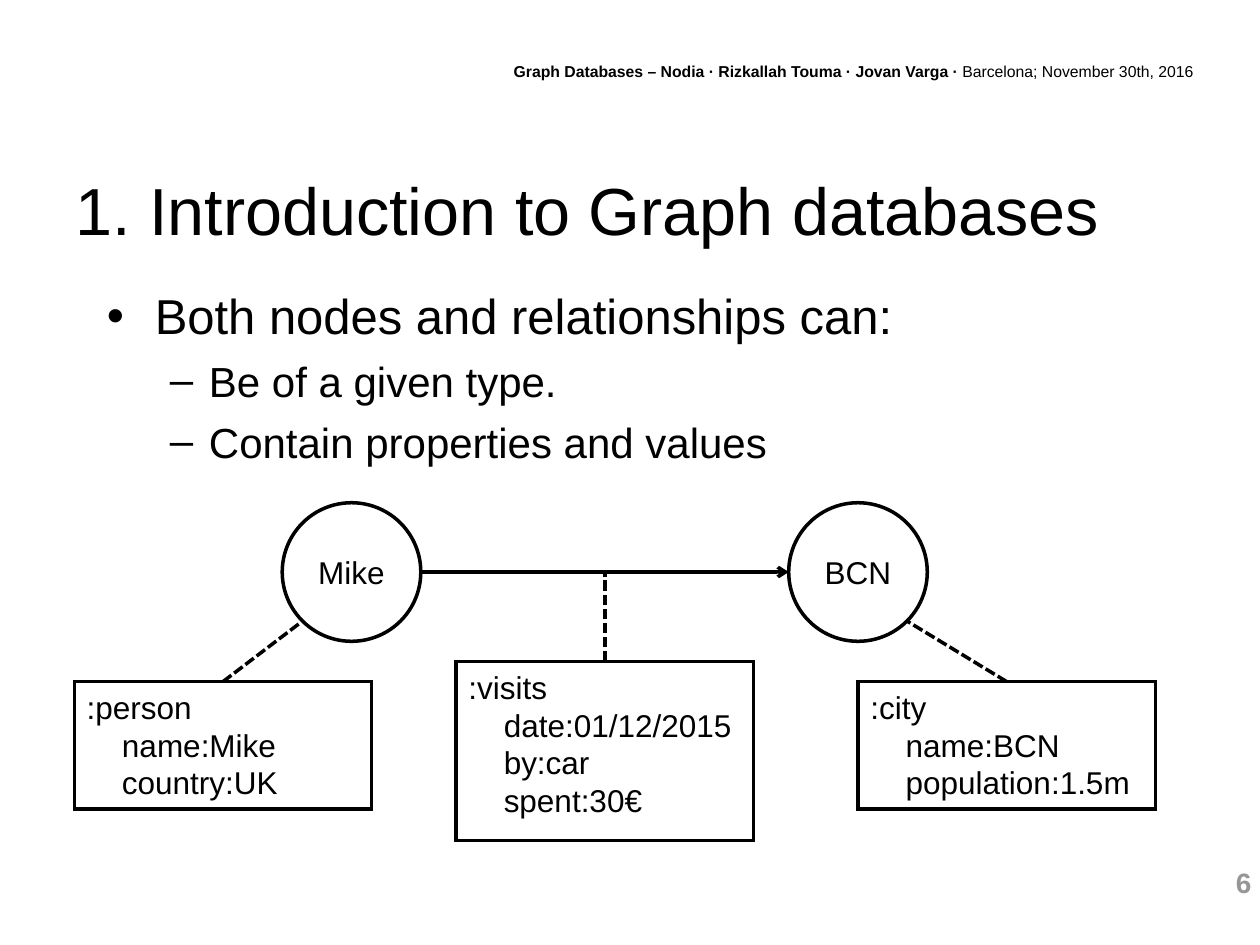
from lxml.etree import SubElement
from pptx import Presentation
from pptx.dml.color import RGBColor
from pptx.enum.dml import MSO_LINE
from pptx.enum.shapes import MSO_CONNECTOR, MSO_SHAPE
from pptx.enum.text import MSO_ANCHOR, PP_ALIGN
from pptx.oxml.ns import qn
from pptx.util import Inches, Pt

CELL = Inches(0.1)  # the slide is a grid of 100 columns by 75 rows
BLACK, WHITE, GREY = "000000", "FFFFFF", "969696"

deck = Presentation()
deck.slide_width, deck.slide_height = 100 * CELL, 75 * CELL
page = deck.slides.add_slide(deck.slide_layouts[6])
color = RGBColor.from_string


def write(box, lines, size, align=PP_ALIGN.LEFT, anchor=MSO_ANCHOR.TOP, ink=BLACK):
    """Fill a box with one paragraph per line and return the paragraphs."""
    frame = box.text_frame
    frame.word_wrap = True
    frame.vertical_anchor = anchor
    frame.text = "\n".join(lines)
    for para in frame.paragraphs:
        para.alignment = align
        para.font.name, para.font.size = "Arial", Pt(size)
        para.font.color.rgb = color(ink)
    return frame.paragraphs


def join(*ends):
    """Draw a black line between two grid points."""
    line = page.shapes.add_connector(
        MSO_CONNECTOR.STRAIGHT, *[int(end * CELL) for end in ends])
    line.line.color.rgb = color(BLACK)
    line.line.width = Pt(2)
    SubElement(line._element.spPr, qn("a:effectLst"))
    return line


# Page number, running header, title and bullet list
number, header, title, body = [
    page.shapes.add_textbox(*[int(part * CELL) for part in area])
    for area in [(87.6, 68.2, 12.7, 3.7), (38.2, 4.4, 57.5, 2.5),
                 (5, 12.3, 90, 8.6), (7.5, 22.2, 87.5, 16)]]

write(number, ["6"], 16, PP_ALIGN.RIGHT, ink=GREY)[0].font.bold = True

para = write(header, ["Graph Databases – Nodia · Rizkallah Touma · Jovan Varga · "],
             9, PP_ALIGN.RIGHT)[0]
para.runs[0].font.bold = True
para.add_run().text = "Barcelona; November 30th, 2016"

write(title, ["1. Introduction to Graph databases"], 38, anchor=MSO_ANCHOR.MIDDLE)

points = write(body, ["Both nodes and relationships can:", "Be of a given type.",
                      "Contain properties and values"], 28)
for index, para in enumerate(points):
    mark, margin, hanging = ("–", 8.1, 3.1) if index else ("•", 3.8, 3.8)
    layout = para._p.get_or_add_pPr()
    layout.set("marL", str(int(margin * CELL)))
    layout.set("indent", str(int(-hanging * CELL)))
    for tag, values in [("a:buFont", {"typeface": "Arial"}), ("a:buChar", {"char": mark})]:
        layout.insert_element_before(
            layout.makeelement(qn(tag), values), "a:tabLst", "a:defRPr", "a:extLst")
    if index:
        para.level = 1
        para.space_before = Pt(6)
        para.font.size = Pt(24)

# Graph nodes, each with its property card; the middle card describes the relationship
DIAMETER, CARD = 11, 23.6
NODE_TOP, CARD_TOP = 39.9, 54.1
AXIS = NODE_TOP + DIAMETER / 2
MIKE, BCN = 22.4, 62.6
shapes = [
    (MSO_SHAPE.OVAL, MIKE, NODE_TOP, DIAMETER, DIAMETER, ["Mike"]),
    (MSO_SHAPE.OVAL, BCN, NODE_TOP, DIAMETER, DIAMETER, ["BCN"]),
    (MSO_SHAPE.RECTANGLE, 36.2, 52.5, CARD, 14.2,
     [":visits", "date:01/12/2015", "by:car", "spent:30€"]),
    (MSO_SHAPE.RECTANGLE, 68.1, CARD_TOP, CARD, 10.1,
     [":city", "name:BCN", "population:1.5m"]),
    (MSO_SHAPE.RECTANGLE, 5.9, CARD_TOP, CARD, 10.1,
     [":person", "name:Mike", "country:UK"]),
]
for kind, left, top, width, height, lines in shapes:
    shape = page.shapes.add_shape(
        kind, *[int(part * CELL) for part in (left, top, width, height)])
    shape.shadow.inherit = False
    shape.fill.solid()
    shape.fill.fore_color.rgb = color(WHITE)
    shape.line.color.rgb = color(BLACK)
    shape.line.width = Pt(2)
    SubElement(shape.line._get_or_add_ln(), qn("a:miter"), lim="800000")
    if kind == MSO_SHAPE.OVAL:
        write(shape, lines, 18, PP_ALIGN.CENTER, MSO_ANCHOR.MIDDLE)
    else:
        for para in write(shape, lines, 18)[1:]:
            para._p.get_or_add_pPr().set("marL", str(int(2.8 * CELL)))

arrow = join(MIKE + DIAMETER, AXIS, BCN, AXIS)
SubElement(arrow.line._get_or_add_ln(), qn("a:tailEnd"), type="arrow")

for ends in [(48, 52.5, 48, AXIS), (79.9, CARD_TOP, 72, 49.3),
             (17.7, CARD_TOP, 24, 49.3)]:
    join(*ends).line.dash_style = MSO_LINE.SQUARE_DOT

deck.save("out.pptx")
